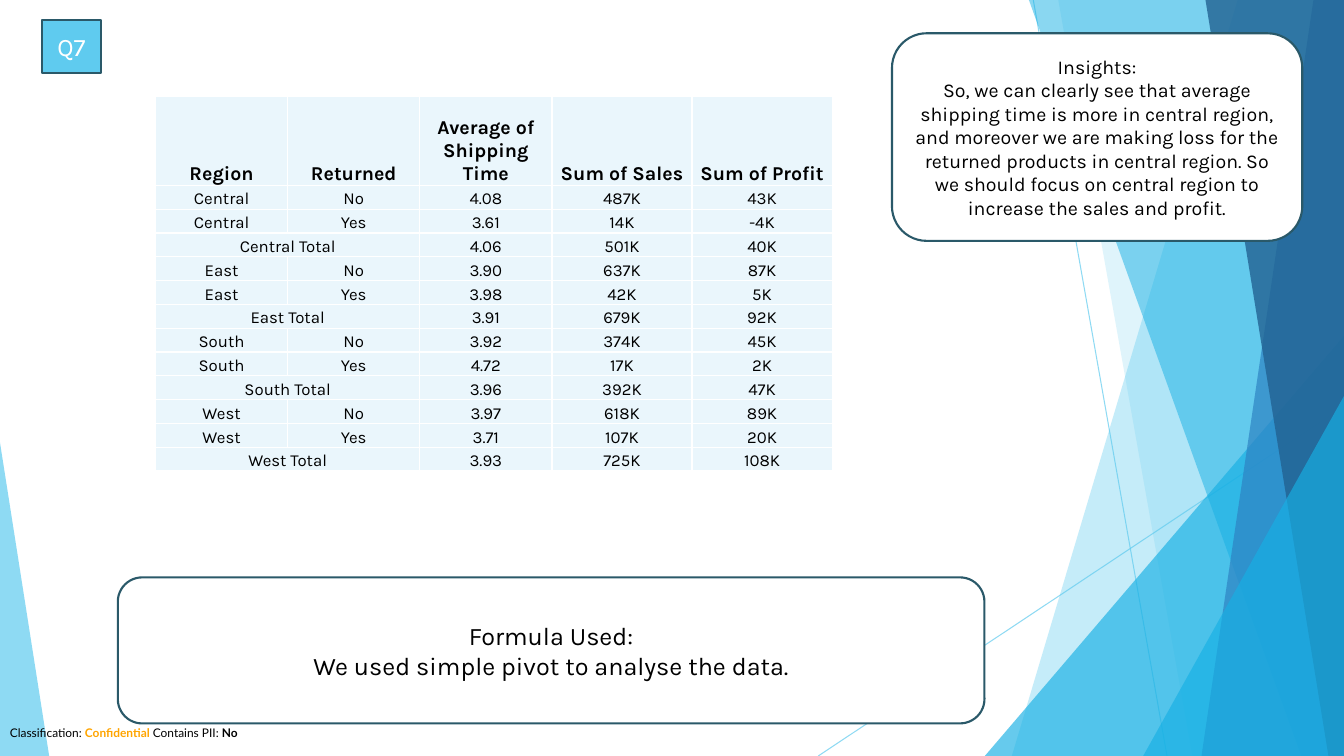
import pptx
import pptx.dml.color
import pptx.enum.shapes
import pptx.enum.text
import pptx.oxml
import pptx.oxml.ns
import pptx.util
from lxml import etree

Cm = pptx.util.Cm
Pt = pptx.util.Pt
RGBColor = pptx.dml.color.RGBColor
Shape = pptx.enum.shapes.MSO_SHAPE
Align = pptx.enum.text.PP_ALIGN
Anchor = pptx.enum.text.MSO_ANCHOR
qn = pptx.oxml.ns.qn

SKY = RGBColor(0x5F, 0xCB, 0xEF)
CYAN = RGBColor(0x17, 0xB0, 0xE4)
BLUE = RGBColor(0x2E, 0x83, 0xC3)
NAVY = RGBColor(0x22, 0x62, 0x92)
TEAL = RGBColor(0x2A, 0x59, 0x69)
PALE = RGBColor(0xEA, 0xF6, 0xFC)
WHITE = RGBColor(0xFF, 0xFF, 0xFF)
BLACK = RGBColor(0, 0, 0)
ORANGE = RGBColor(0xFF, 0xA5, 0)

WIDTH, HEIGHT = 33.87, 19.05

RAYS = [(26.04, 0, 29.41, HEIGHT), (WIDTH, 10.24, 20.62, HEIGHT)]
BANDS_BEHIND = [(31.19, 25.5, SKY, 36), (26.67, 30.05, SKY, 20)]
BANDS_FRONT = [(25.93, 32.79, CYAN, 50), (33.1, 30.28, BLUE, 70), (30.38, 33.48, NAVY, 80)]

INSIGHTS = [
    "Insights:",
    "So, we can clearly see that average shipping time is more in central region, "
    "and moreover we are making loss for the returned products in central region. "
    "So we should focus on central region to increase the sales and profit.",
]
FORMULA = ["Formula Used:", "We used simple pivot to analyse the data."]
CLASSIFICATION = [
    ("Classification: ", BLACK, False),
    ("Confidential", ORANGE, True),
    (" Contains PII: ", BLACK, False),
    ("No", BLACK, True),
]

HEADINGS = ["Region", "Returned", "Average of Shipping Time", "Sum of Sales", "Sum of Profit"]
REGIONS = {
    "Central": [("4.08", "487K", "43K"), ("3.61", "14K", "-4K"), ("4.06", "501K", "40K")],
    "East": [("3.90", "637K", "87K"), ("3.98", "42K", "5K"), ("3.91", "679K", "92K")],
    "South": [("3.92", "374K", "45K"), ("4.72", "17K", "2K"), ("3.96", "392K", "47K")],
    "West": [("3.97", "618K", "89K"), ("3.71", "107K", "20K"), ("3.93", "725K", "108K")],
}


class SlideBuilder:
    font = "Karla"
    footer_font = "Lato"

    def __init__(self, page):
        self.page = page

    def set_alpha(self, shape, percent):
        for color in shape.element.spPr.iter(qn("a:srgbClr")):
            etree.SubElement(color, qn("a:alpha")).set("val", str(percent * 1000))

    def style_paragraph(self, para, size, color=BLACK, bold=False):
        para.alignment = Align.CENTER
        para.font.name = self.font
        para.font.size = Pt(size)
        para.font.color.rgb = color
        para.font.bold = bold

    def paint_facet(self, shape, color, alpha):
        shape.shadow.inherit = False
        shape.fill.solid()
        shape.fill.fore_color.rgb = color
        shape.line.fill.background()
        self.set_alpha(shape, alpha)

    def ray(self, x1, y1, x2, y2):
        line = self.page.shapes.add_connector(
            pptx.enum.shapes.MSO_CONNECTOR.STRAIGHT, Cm(x1), Cm(y1), Cm(x2), Cm(y2))
        line.line.color.rgb = SKY
        line.line.width = Pt(0.75)
        self.set_alpha(line, 70)
        etree.SubElement(line.element.spPr, qn("a:effectLst"))

    def band(self, top_x, bottom_x, color, alpha):
        outline = self.page.shapes.build_freeform(Cm(top_x), 0)
        outline.add_line_segments(
            [(Cm(WIDTH), 0), (Cm(WIDTH), Cm(HEIGHT)), (Cm(bottom_x), Cm(HEIGHT))])
        self.paint_facet(outline.convert_to_shape(), color, alpha)

    def triangle(self, left, top, width, apex, color, alpha):
        shape = self.page.shapes.add_shape(
            Shape.ISOSCELES_TRIANGLE, Cm(left), Cm(top), Cm(width), Cm(HEIGHT - top))
        shape.adjustments[0] = apex
        self.paint_facet(shape, color, alpha)

    def card(self, kind, bounds, lines, size, fill=WHITE, color=BLACK):
        box = self.page.shapes.add_shape(kind, *map(Cm, bounds))
        box.shadow.inherit = False
        box.fill.solid()
        box.fill.fore_color.rgb = fill
        box.line.color.rgb = TEAL
        box.line.width = Pt(1.5)
        frame = box.text_frame
        frame.word_wrap = True
        frame.vertical_anchor = Anchor.MIDDLE
        frame.text = "\n".join(lines)
        for para in frame.paragraphs:
            self.style_paragraph(para, size, color)

    def footer(self, pieces):
        box = self.page.shapes.add_textbox(0, Cm(18.16), Cm(WIDTH), Cm(0.61))
        box.text_frame.word_wrap = True
        para = box.text_frame.paragraphs[0]
        para.font.name = self.footer_font
        para.font.size = Pt(8.5)
        for text, color, bold in pieces:
            span = para.add_run()
            span.text = text
            span.font.name = self.footer_font
            span.font.size = Pt(8.5)
            span.font.color.rgb = color
            span.font.bold = bold

    def style_cell(self, cell, size, bold):
        cell.fill.solid()
        cell.fill.fore_color.rgb = PALE
        cell.vertical_anchor = Anchor.BOTTOM
        cell.margin_left = cell.margin_right = cell.margin_top = Cm(0.03)
        cell.margin_bottom = 0
        self.style_paragraph(cell.text_frame.paragraphs[0], size, bold=bold)
        properties = cell._tc.get_or_add_tcPr()
        for position, side in enumerate(("lnL", "lnR", "lnT", "lnB")):
            border = pptx.oxml.parse_xml(
                f'<a:{side} {pptx.oxml.ns.nsdecls("a")} w="12700"><a:solidFill>'
                f'<a:srgbClr val="{WHITE}"/></a:solidFill></a:{side}>')
            properties.insert(position, border)

    def table(self, left, top, widths, header_height, row_height, rows):
        height = header_height + row_height * (len(rows) - 1)
        table = self.page.shapes.add_table(
            len(rows), len(widths), Cm(left), Cm(top), Cm(sum(widths)), Cm(height)).table
        for column, width in zip(table.columns, widths):
            column.width = Cm(width)
        for index, values in enumerate(rows):
            heading = index == 0
            table.rows[index].height = Cm(header_height if heading else row_height)
            for position, value in enumerate(values):
                cell = table.cell(index, position)
                cell.text = value
                self.style_cell(cell, 14 if heading else 12, heading)
            if not values[1]:
                table.cell(index, 0).merge(table.cell(index, 1))


def pivot_rows():
    rows = [HEADINGS]
    for region, (kept, returned, total) in REGIONS.items():
        rows += [(region, "No", *kept), (region, "Yes", *returned),
                 (f"{region} Total", "", *total)]
    return rows


def main():
    deck = pptx.Presentation()
    deck.slide_width, deck.slide_height = Cm(WIDTH), Cm(HEIGHT)
    slide = SlideBuilder(deck.slides.add_slide(deck.slide_layouts[6]))

    for ray in RAYS:
        slide.ray(*ray)
    for band in BANDS_BEHIND:
        slide.band(*band)
    slide.triangle(24.82, 8.46, 9.05, 1, CYAN, 66)
    for band in BANDS_FRONT:
        slide.band(*band)
    slide.triangle(28.81, 9.98, 5.06, 1, CYAN, 66)
    slide.triangle(0, 11.15, 1.24, 0, SKY, 70)

    slide.footer(CLASSIFICATION)
    slide.card(Shape.RECTANGLE, (1.06, 0.51, 1.48, 1.34), ["Q7"], 18, SKY, WHITE)
    slide.card(Shape.ROUNDED_RECTANGLE, (22.48, 0.84, 10.34, 5.23), INSIGHTS, 14)
    slide.card(Shape.ROUNDED_RECTANGLE, (2.97, 14.55, 21.84, 3.68), FORMULA, 18)
    slide.table(3.92, 2.44, [3.33] * 3 + [3.53] * 2, 2.23, 0.6, pivot_rows())

    deck.save("out.pptx")


if __name__ == "__main__":
    main()
